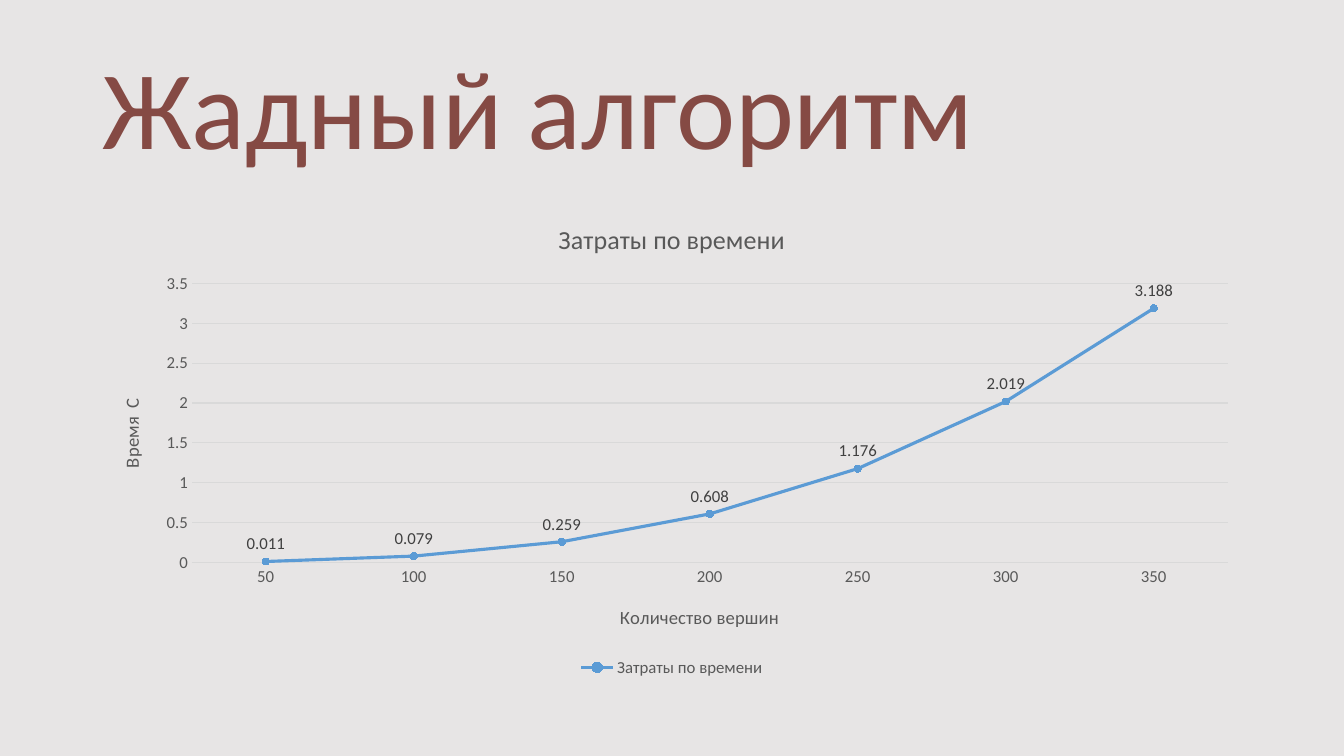
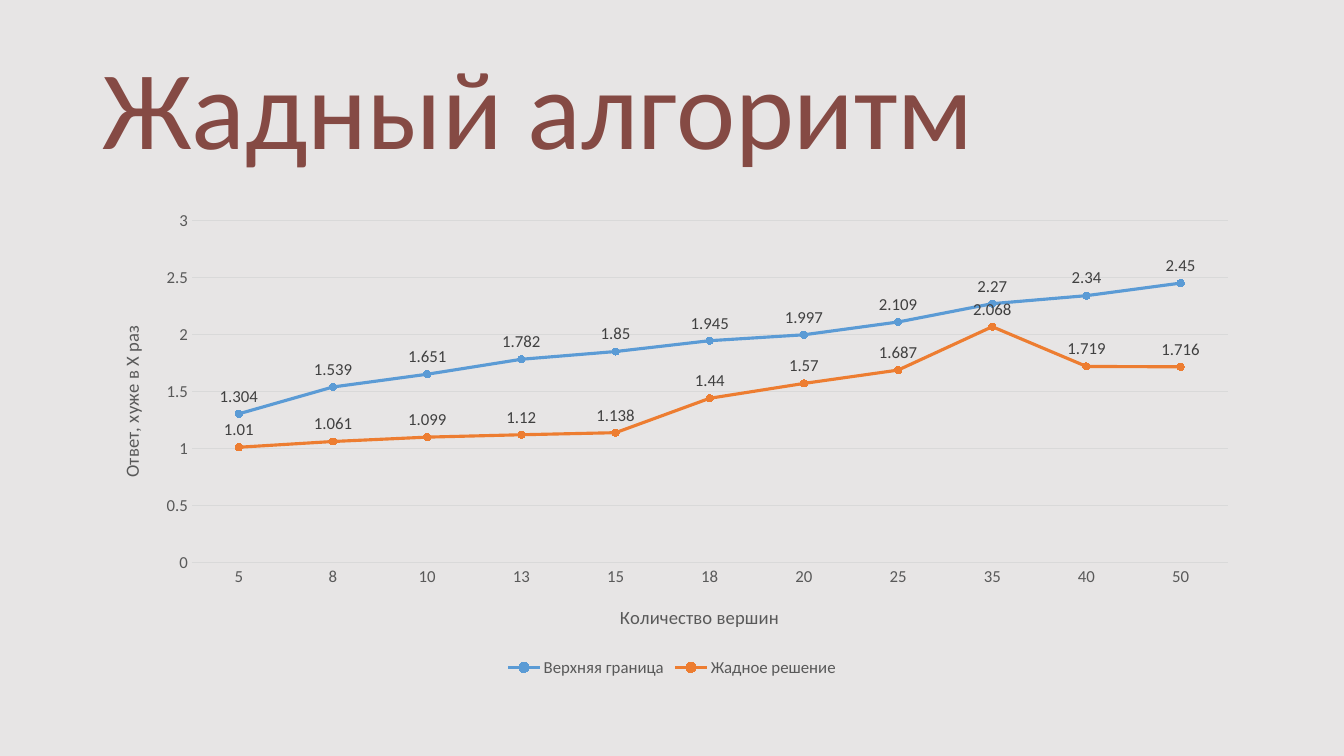
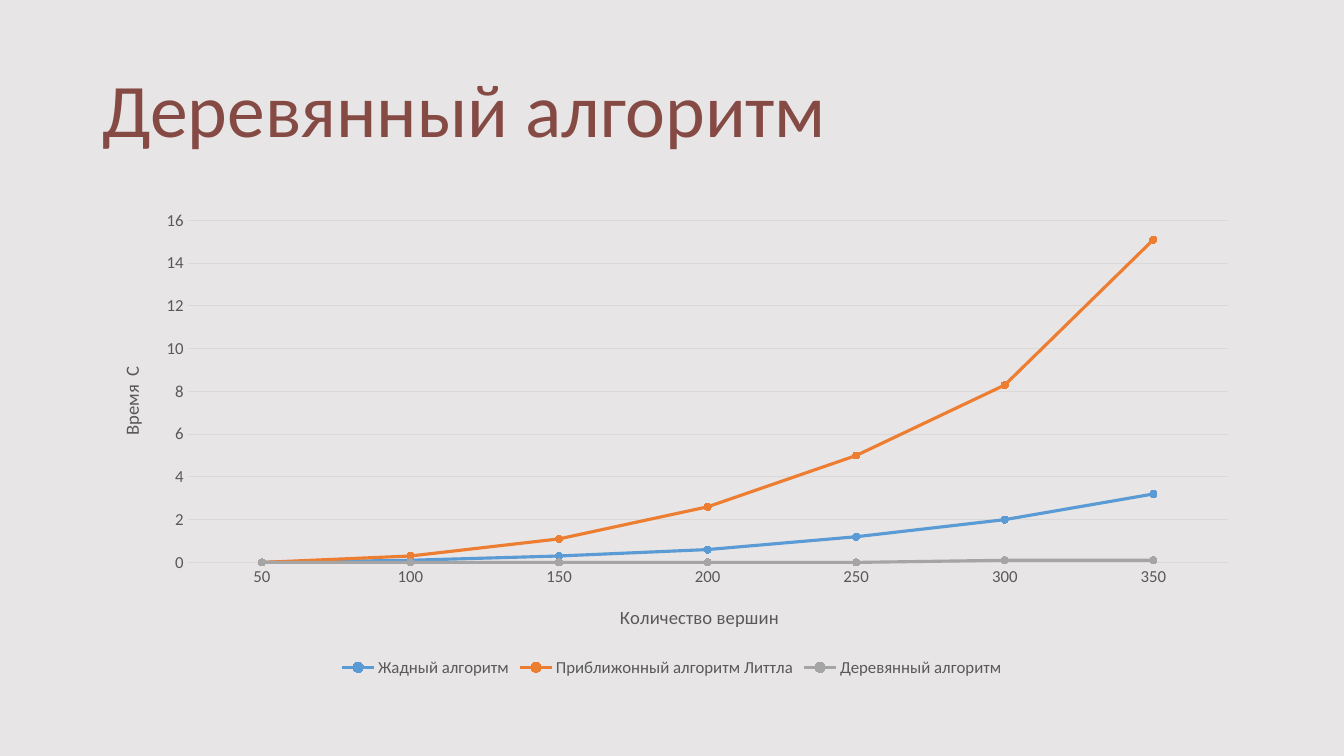
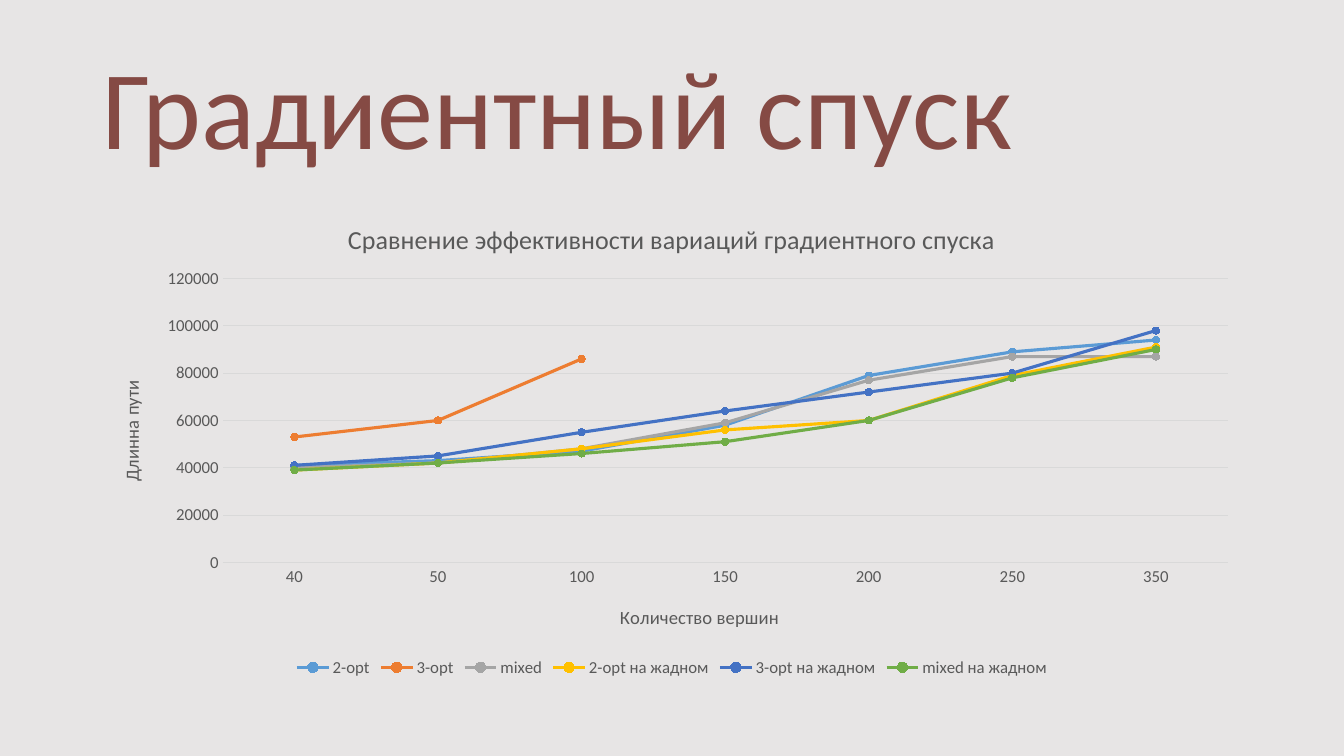
"""Build four slides that compare route-finding algorithms with line charts."""
from lxml import etree
from pptx import Presentation
from pptx.chart.data import CategoryChartData
from pptx.dml.color import RGBColor
from pptx.enum.chart import XL_CHART_TYPE as ChartType
from pptx.enum.chart import XL_LABEL_POSITION as LabelPosition
from pptx.enum.chart import XL_LEGEND_POSITION as LegendPosition
from pptx.enum.chart import XL_MARKER_STYLE as MarkerStyle
from pptx.enum.chart import XL_TICK_MARK as TickMark
from pptx.enum.text import MSO_ANCHOR as Anchor
from pptx.oxml.ns import qn
from pptx.util import Pt

COLORS = {"background": "E7E5E5", "heading": "854A44", "text": "595959",
          "label": "404040", "grid": "D9D9D9"}
SERIES_COLORS = ["5B9BD5", "ED7D31", "A5A5A5", "FFC000", "4472C4", "70AD47"]
FONT = "Calibri"
HEADING_BOX = (66, 28.8, 828, 104.4)
CHART_BOX = (66, 144, 828, 342.7)
PLOT_RIGHT, PLOT_BOTTOM = 811, 257.8
VERTICES_LABEL = "Количество вершин"
VERTICES_AT = (374.5, 285)
VALUE_LABEL_LEFT = 16.5
COUNTS = [50, 100, 150, 200, 250, 300, 350]

SLIDES = [
    {"heading": "Жадный алгоритм", "size": 80, "title": "Затраты по времени",
     "value_label": "Время  С", "label_top": 138, "plot": (71, 58.5),
     "labels": True, "counts": COUNTS,
     "series": {"Затраты по времени":
                [0.011, 0.079, 0.259, 0.608, 1.176, 2.019, 3.188]}},
    {"heading": "Жадный алгоритм", "size": 80, "title": None,
     "value_label": "Ответ, хуже в X раз", "label_top": 86, "plot": (71, 13.5),
     "labels": True, "counts": [5, 8, 10, 13, 15, 18, 20, 25, 35, 40, 50],
     "series": {
         "Верхняя граница": [1.304, 1.539, 1.651, 1.782, 1.85, 1.945, 1.997,
                             2.109, 2.27, 2.34, 2.45],
         "Жадное решение": [1.01, 1.061, 1.099, 1.12, 1.138, 1.44, 1.57,
                            1.687, 2.068, 1.719, 1.716]}},
    {"heading": "Деревянный алгоритм", "size": 54, "title": None,
     "value_label": "Время  С", "label_top": 115, "plot": (68, 13.5),
     "labels": False, "counts": COUNTS,
     "series": {
         "Жадный алгоритм": [0, 0.1, 0.3, 0.6, 1.2, 2, 3.2],
         "Приближонный алгоритм Литтла": [0, 0.3, 1.1, 2.6, 5, 8.3, 15.1],
         "Деревянный алгоритм": [0, 0, 0, 0, 0, 0.1, 0.1]}},
    {"heading": "Градиентный спуск", "size": 80,
     "title": "Сравнение эффективности вариаций градиентного спуска",
     "value_label": "Длинна пути", "label_top": 125, "plot": (93, 55),
     "labels": False, "counts": [40, 50, 100, 150, 200, 250, 350],
     "series": {
         "2-opt": [41000, 43000, 47000, 58000, 79000, 89000, 94000],
         "3-opt": [53000, 60000, 86000, None, None, None, None],
         "mixed": [40000, 42000, 48000, 59000, 77000, 87000, 87000],
         "2-opt на жадном": [39000, 42000, 48000, 56000, 60000, 79000, 91000],
         "3-opt на жадном": [41000, 45000, 55000, 64000, 72000, 80000, 98000],
         "mixed на жадном": [39000, 42000, 46000, 51000, 60000, 78000, 90000]}},
]


def rgb(color):
    return RGBColor.from_string(color)


def style_font(font, size, color):
    for attribute, value in {"name": FONT, "size": Pt(size), "bold": False}.items():
        setattr(font, attribute, value)
    font.color.rgb = rgb(color)


def style_line(line, color, width):
    line.color.rgb = rgb(color)
    line.width = Pt(width)


def place(parent, index, left, top, right=None, bottom=None):
    """Give a chart part a fixed place, in points from the chart's corner."""
    for old in parent.findall(qn("c:layout")):
        parent.remove(old)
    layout = etree.Element(qn("c:layout"))
    manual = etree.SubElement(layout, qn("c:manualLayout"))
    width, height = CHART_BOX[2:]
    values = {"xMode": "edge", "yMode": "edge", "x": left / width, "y": top / height}
    if right is not None:
        values = {"layoutTarget": "inner", **values,
                  "w": (right - left) / width, "h": (bottom - top) / height}
    for tag, value in values.items():
        etree.SubElement(manual, qn(f"c:{tag}")).set("val", str(value))
    parent.insert(index, layout)


def write_title(title, text, size):
    title.text_frame.text = text
    style_font(title.text_frame.paragraphs[0].runs[0].font, size, COLORS["text"])


def style_axis(axis, label, left, top, rotation):
    axis.major_tick_mark = axis.minor_tick_mark = TickMark.NONE
    style_font(axis.tick_labels.font, 12, COLORS["text"])
    write_title(axis.axis_title, label, 13.3)
    body = axis.axis_title.text_frame._txBody.bodyPr
    body.set("rot", str(rotation))
    body.set("vert", "horz")
    place(axis.axis_title._element, 1, left, top)


def style_series(series, color, labelled):
    series.smooth = False
    style_line(series.format.line, color, 2.25)
    series.marker.style = MarkerStyle.CIRCLE
    series.marker.size = 5
    series.marker.format.fill.solid()
    series.marker.format.fill.fore_color.rgb = rgb(color)
    style_line(series.marker.format.line, color, 0.75)
    if labelled:
        labels = series.data_labels
        labels.show_value = True
        labels.position = LabelPosition.ABOVE
        style_font(labels.font, 12, COLORS["label"])


def add_heading(slide, text, size):
    frame = slide.shapes.add_textbox(*map(Pt, HEADING_BOX)).text_frame
    frame.word_wrap = True
    frame.vertical_anchor = Anchor.MIDDLE
    paragraph = frame.paragraphs[0]
    paragraph.line_spacing = 0.9
    run = paragraph.add_run()
    run.text = text
    style_font(run.font, size, COLORS["heading"])


def add_line_chart(slide, content):
    data = CategoryChartData()
    data.categories = [str(count) for count in content["counts"]]
    for name, values in content["series"].items():
        data.add_series(name, values)
    chart = slide.shapes.add_chart(
        ChartType.LINE_MARKERS, *map(Pt, CHART_BOX), data).chart
    style_font(chart.font, 10, "000000")
    chart.has_title = bool(content["title"])
    if content["title"]:
        write_title(chart.chart_title, content["title"], 18.6)
    chart.has_legend = True
    chart.legend.position = LegendPosition.BOTTOM
    chart.legend.include_in_layout = False
    style_font(chart.legend.font, 12, COLORS["text"])

    vertices, measure = chart.category_axis, chart.value_axis
    style_axis(vertices, VERTICES_LABEL, *VERTICES_AT, 0)
    style_line(vertices.format.line, COLORS["grid"], 0.75)
    style_axis(measure, content["value_label"], VALUE_LABEL_LEFT,
               content["label_top"], -5400000)
    measure.format.line.fill.background()
    measure.has_major_gridlines = True
    style_line(measure.major_gridlines.format.line, COLORS["grid"], 0.75)

    chart.plots[0].vary_by_categories = False
    for series, color in zip(chart.plots[0].series, SERIES_COLORS):
        style_series(series, color, content["labels"])
    place(chart._chartSpace.chart.plotArea, 0, *content["plot"],
          PLOT_RIGHT, PLOT_BOTTOM)


def main():
    deck = Presentation()
    deck.slide_width, deck.slide_height = Pt(960), Pt(540)
    for content in SLIDES:
        slide = deck.slides.add_slide(deck.slide_layouts[6])
        slide.background.fill.solid()
        slide.background.fill.fore_color.rgb = rgb(COLORS["background"])
        add_heading(slide, content["heading"], content["size"])
        add_line_chart(slide, content)
    deck.save("out.pptx")


if __name__ == "__main__":
    main()
